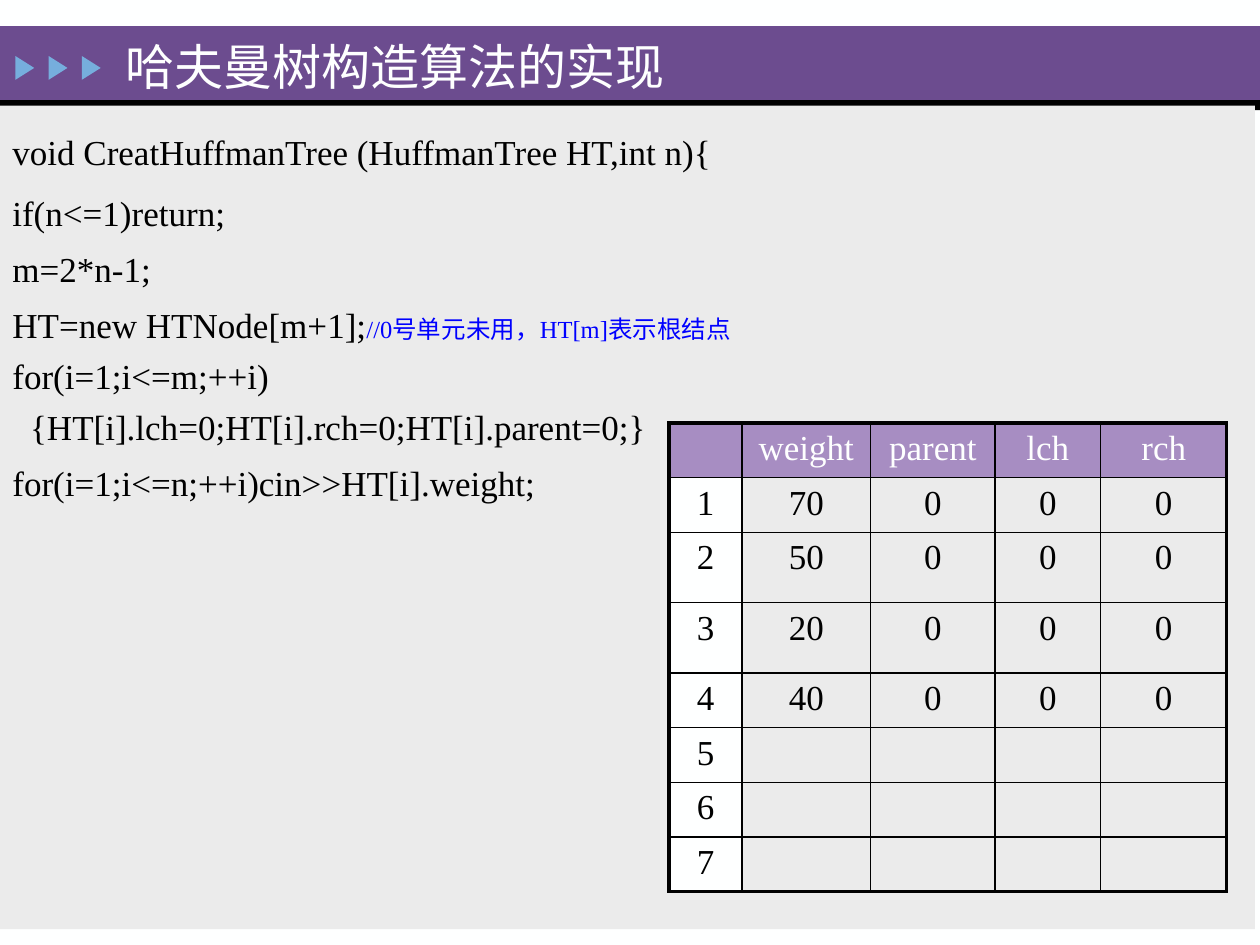
from lxml import etree
from pptx import Presentation
from pptx.dml.color import RGBColor
from pptx.enum.shapes import MSO_SHAPE as SHAPE
from pptx.enum.text import MSO_ANCHOR as ANCHOR, PP_ALIGN as ALIGN
from pptx.oxml.ns import qn
from pptx.util import Cm, Pt

WHITE = RGBColor(0xFE, 0xFF, 0xFF)
BLACK = RGBColor(0x00, 0x00, 0x00)
PURPLE = RGBColor(0x6C, 0x4C, 0x8F)
LILAC = RGBColor(0xA7, 0x8D, 0xC2)
SKY = RGBColor(0x76, 0xAE, 0xDD)
GREY = RGBColor(0xEB, 0xEB, 0xEB)
BLUE = RGBColor(0x00, 0x00, 0xFF)

CODE = [
    ([("void CreatHuffmanTree (HuffmanTree HT,int n){", 20, BLACK)], 3, 1, 0),
    ([("if(n<=1)return;", 20, BLACK)], 10.7, 1, 0),
    ([("m=2*n-1;", 20, BLACK)], 10.7, 0.9, 0),
    ([("HT=new HTNode[m+1];", 20, BLACK),
      ("//0号单元未用，HT[m]表示根结点", 14, BLUE)], 10.7, 0.9, 0),
    ([("for(i=1;i<=m;++i)", 20, BLACK)], 4.8, 1, 0),
    ([("{HT[i].lch=0;HT[i].rch=0;HT[i].parent=0;}", 20, BLACK)], 4.8, 1, 0.36),
    ([("for(i=1;i<=n;++i)cin>>HT[i].weight;", 20, BLACK)], 10.7, 0.9, 0),
]
HEADER = ["", "weight", "parent", "lch", "rch"]
WEIGHTS = ["70", "50", "20", "40"]
COLUMNS = [1.47, 2.59, 2.51, 2.13, 2.54]
ROWS = [1.1, 1.1, 1.42, 1.42, 1.1, 1.1, 1.1, 1.1]


class Deck:
    """Builds slides in one style."""

    font = "Times New Roman"

    def __init__(self, width, height):
        self.prs = Presentation()
        self.prs.slide_width, self.prs.slide_height = Cm(width), Cm(height)
        self.s = None

    def slide(self, color):
        self.s = self.prs.slides.add_slide(self.prs.slide_layouts[6])
        fill = self.s.background.fill
        fill.solid()
        fill.fore_color.rgb = color

    def shape(self, kind, x, y, w, h, color, rotation=0):
        sp = self.s.shapes.add_shape(kind, Cm(x), Cm(y), Cm(w), Cm(h))
        sp.shadow.inherit = False
        sp.fill.solid()
        sp.fill.fore_color.rgb = color
        sp.line.fill.background()
        sp.rotation = rotation

    def style(self, font, size, color):
        font.name, font.size = self.font, Pt(size)
        font.color.rgb = color

    def text(self, x, y, w, h, paragraphs, anchor=ANCHOR.TOP):
        tf = self.s.shapes.add_textbox(Cm(x), Cm(y), Cm(w), Cm(h)).text_frame
        tf.word_wrap = True
        tf.vertical_anchor = anchor
        for i, (runs, before, spacing, indent) in enumerate(paragraphs):
            p = tf.add_paragraph() if i else tf.paragraphs[0]
            p.space_before, p.line_spacing = Pt(before), spacing
            if indent:
                p._p.get_or_add_pPr().set("marL", str(Cm(indent)))
            for words, size, color in runs:
                r = p.add_run()
                r.text = words
                self.style(r.font, size, color)

    def border(self, cell, side, width):
        ln = etree.SubElement(cell._tc.get_or_add_tcPr(), qn(f"a:ln{side}"), w=str(Pt(width)))
        fill = etree.SubElement(ln, qn("a:solidFill"))
        etree.SubElement(fill, qn("a:srgbClr"), val=str(BLACK))

    def cell(self, cell, words, color, fill, widths):
        for side, width in zip("LRTB", widths):
            self.border(cell, side, width)
        if fill is None:
            cell.fill.background()
        else:
            cell.fill.solid()
            cell.fill.fore_color.rgb = fill
        p = cell.text_frame.paragraphs[0]
        p.alignment = ALIGN.CENTER
        self.style(p.font, 20, color)
        if words:
            p.add_run().text = words

    def table(self, x, y, columns, rows, data):
        table = self.s.shapes.add_table(len(rows), len(columns), Cm(x), Cm(y),
                                        Cm(sum(columns)), Cm(sum(rows))).table
        table.horz_banding = False
        for column, width in zip(table.columns, columns):
            column.width = Cm(width)
        for row, height in zip(table.rows, rows):
            row.height = Cm(height)
        bottom, right = len(rows) - 1, len(columns) - 1
        for i, values in enumerate(data):
            for j, words in enumerate(values):
                outer = (j == 0, j == right, i == 0, i == bottom)
                widths = [2.25 if edge else 1 for edge in outer]
                fill = LILAC if i == 0 else WHITE if j == 0 else None
                self.cell(table.cell(i, j), words, BLACK if i else WHITE, fill, widths)


def main():
    deck = Deck(25.4, 19.05)
    deck.slide(WHITE)
    deck.shape(SHAPE.RECTANGLE, 0, 0.53, 25.4, 1.5, PURPLE)
    deck.shape(SHAPE.RECTANGLE, 0, 2.02, 25.4, 0.2, BLACK)
    for i in range(3):
        deck.shape(SHAPE.ISOSCELES_TRIANGLE, 0.26 + 0.67 * i, 1.18, 0.48, 0.38, SKY, 90)
    deck.shape(SHAPE.RECTANGLE, -0.1, 2.13, 25.4, 16.6, GREY)

    data = [HEADER]
    for number in range(1, len(ROWS)):
        filled = number <= len(WEIGHTS)
        values = [WEIGHTS[number - 1], "0", "0", "0"] if filled else [""] * 4
        data.append([str(number)] + values)
    deck.table(13.49, 8.53, COLUMNS, ROWS, data)

    title = [([("哈夫曼树构造算法的实现", 28, WHITE)], 0, 1, 0)]
    deck.text(2.29, 0.61, 18.29, 1.42, title, ANCHOR.MIDDLE)
    deck.text(0, 2.51, 21.9, 8.03, CODE)
    deck.prs.save("out.pptx")


if __name__ == "__main__":
    main()
